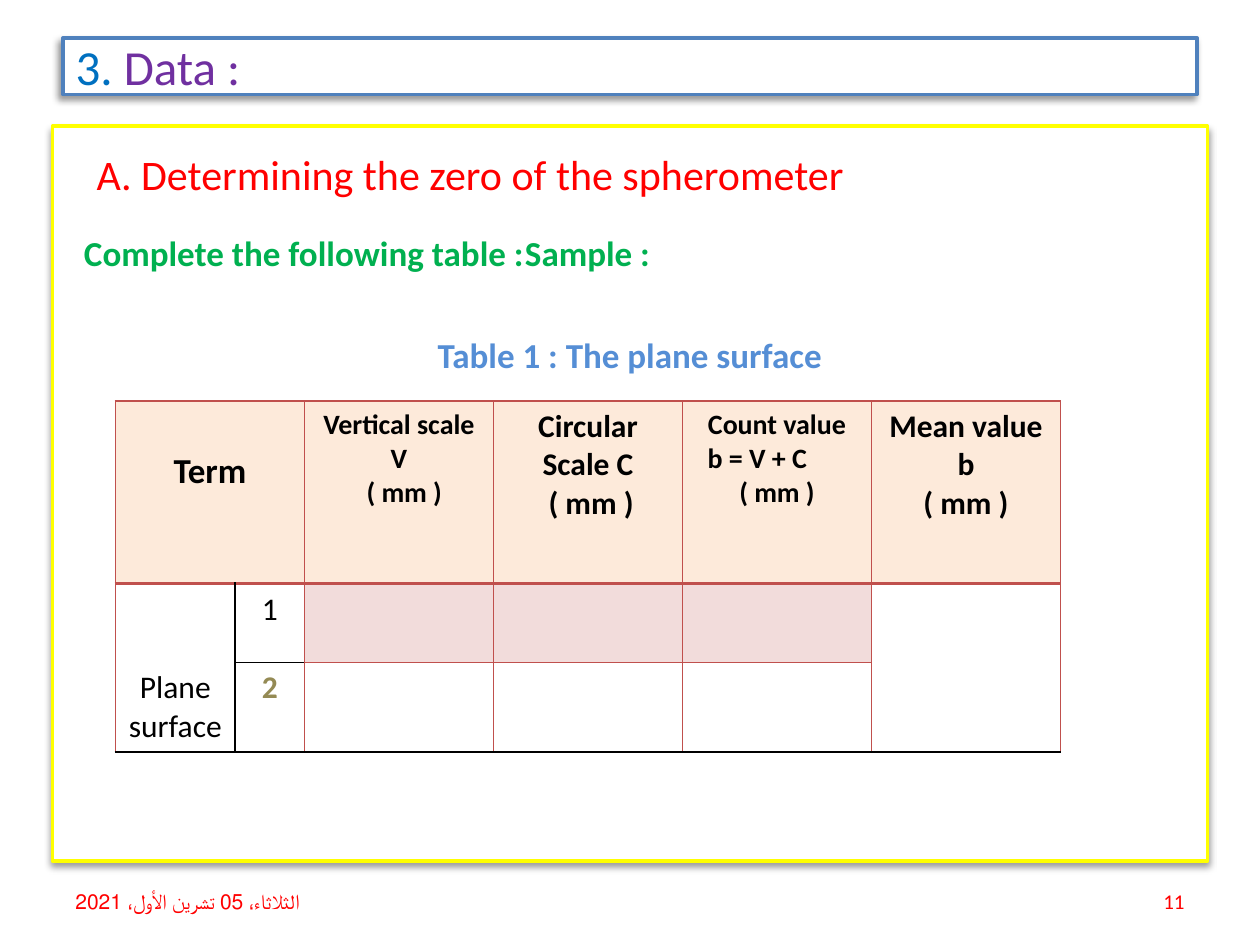
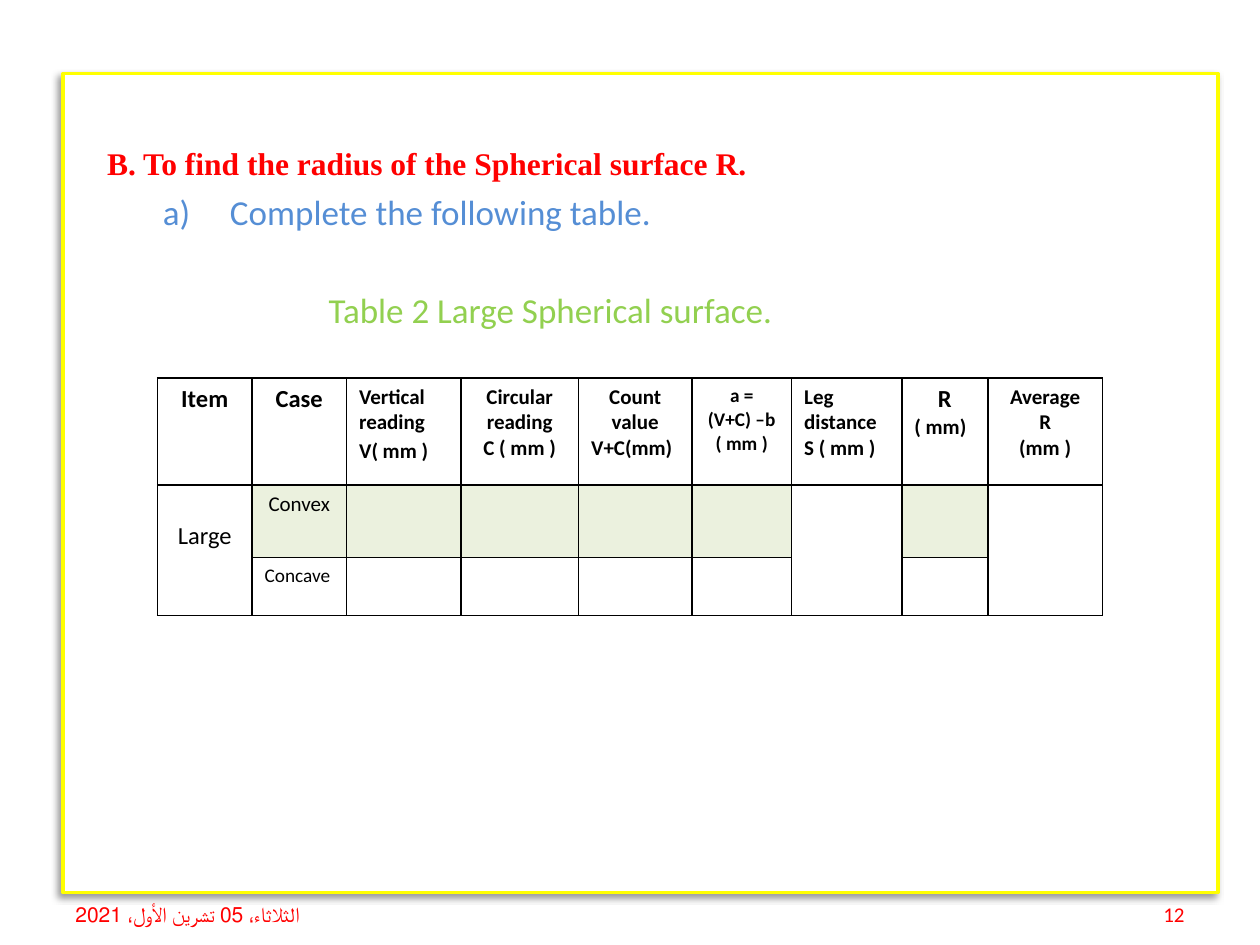
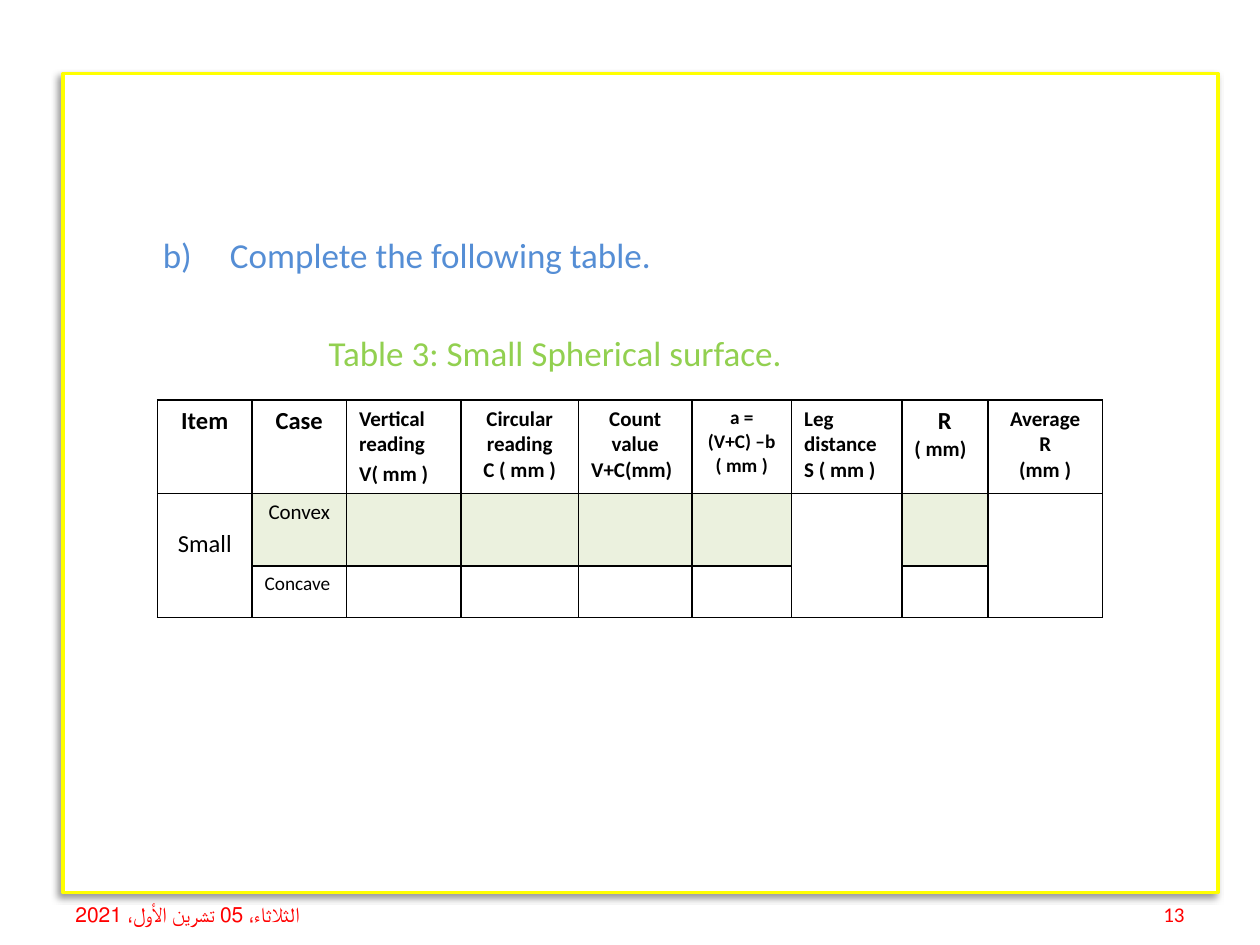
from lxml.etree import SubElement
from pptx import Presentation
from pptx.dml.color import RGBColor
from pptx.enum.text import MSO_ANCHOR, MSO_AUTO_SIZE, PP_ALIGN
from pptx.oxml import parse_xml
from pptx.oxml.ns import nsdecls, qn
from pptx.util import Inches, Pt

COLS, ROWS = 120, 90
WIDE, HIGH = Inches(10), Inches(7.5)
BLACK, WHITE, RED, BLUE = "000000", "FFFFFF", "FF0000", "558ED5"
BRICK, PEACH, ROSE = "C0504D", "FDEADA", "F2DCDB"
LEAF, LIME, GOLD = "EBF1DE", "92D050", "FFFF00"
LEFT, MID, RIGHT = PP_ALIGN.LEFT, PP_ALIGN.CENTER, PP_ALIGN.RIGHT
DATE = "الثلاثاء، 05 تشرين الأول، 2021"
PLAIN = "{2D5ABB26-0587-4C30-8999-92F81FD0307C}"


def tint(code):
    return RGBColor.from_string(code)


def line(text, size, **form):
    return {"text": text, "size": size, **form}


def mid(text, size, **form):
    return line(text, size, align=MID, **form)


class Deck:
    def __init__(self):
        self.prs = Presentation()
        self.prs.slide_width, self.prs.slide_height = WIDE, HIGH
        self.slide = None

    def col(self, count):
        return round(WIDE * count / COLS)

    def row(self, count):
        return round(HIGH * count / ROWS)

    def box(self, spot):
        x, y, w, h = spot
        return self.col(x), self.row(y), self.col(w), self.row(h)

    def page(self):
        self.slide = self.prs.slides.add_slide(self.prs.slide_layouts[1])

    def ink(self, run, size, hue=BLACK, bold=False, face="Calibri"):
        form = {"size": Pt(size), "bold": bold, "name": face}
        for key, value in form.items():
            setattr(run.font, key, value)
        run.font.color.rgb = tint(hue)

    def para(self, par, text, size, align=LEFT, gap=0, left=0, hang=0, tab=0, **font):
        par.text = text
        for key, value in {"alignment": align, "space_before": Pt(gap)}.items():
            setattr(par, key, value)
        props = par._p.get_or_add_pPr()
        props.set("marL", str(self.col(left)))
        props.set("indent", str(-self.col(hang)))
        SubElement(props, qn("a:buNone"))
        if tab:
            stops = SubElement(props, qn("a:tabLst"))
            SubElement(stops, qn("a:tab"), pos=str(self.col(tab)), algn="l")
        for run in par.runs:
            self.ink(run, size, **font)

    def fill(self, frame, lines):
        for at, form in enumerate(lines):
            par = frame.add_paragraph() if at else frame.paragraphs[0]
            self.para(par, **form)

    def panel(self, shape, spot, edge, angle):
        for key, value in zip(("left", "top", "width", "height"), self.box(spot)):
            setattr(shape, key, value)
        shape.fill.solid()
        shape.fill.fore_color.rgb = tint(WHITE)
        shape.line.color.rgb = tint(edge)
        shape.line.width = Pt(2)
        shape.shadow.inherit = False
        shape._element.spPr.find(qn("a:effectLst")).append(parse_xml(
            f'<a:outerShdw {nsdecls("a")} blurRad="{Pt(4)}" dist="{Pt(3)}" '
            f'dir="{angle * 60000}" algn="tl" rotWithShape="0"><a:srgbClr val="{BLACK}">'
            '<a:alpha val="40000"/></a:srgbClr></a:outerShdw>'))
        shape.text_frame.auto_size = MSO_AUTO_SIZE.NONE
        return shape.text_frame

    def title(self, first, rest):
        frame = self.panel(self.slide.shapes.title, (6, 3.6, 108, 5.4), "4F81BD", 135)
        frame.vertical_anchor = MSO_ANCHOR.MIDDLE
        par = frame.paragraphs[0]
        self.para(par, first, 28, hue="0070C0")
        run = par.add_run()
        run.text = rest
        self.ink(run, 28, "7030A0")

    def bare(self):
        mark = self.slide.shapes.title.element
        mark.getparent().remove(mark)

    def body(self, spot, angle, head, lines):
        frame = self.panel(self.slide.placeholders[1], spot, GOLD, angle)
        form = {"margin_left": self.col(3), "margin_right": self.col(3),
                "margin_top": self.row(head), "vertical_anchor": MSO_ANCHOR.TOP}
        for key, value in form.items():
            setattr(frame, key, value)
        self.fill(frame, lines)

    def note(self, spot, text, align):
        frame = self.slide.shapes.add_textbox(*self.box(spot)).text_frame
        frame.word_wrap = True
        frame.vertical_anchor = MSO_ANCHOR.MIDDLE
        self.fill(frame, [line(text, 12, align=align, hue=RED)])

    def foot(self, number, top=86, high=2.2, wide=26):
        self.note((6, top, wide, high), DATE, LEFT)
        self.note((86, top, 28, high), str(number), RIGHT)

    def rule(self, cell, sides):
        props = cell._tc.get_or_add_tcPr()
        for at, side in enumerate("LRTB"):
            hue, width = sides[side]
            paint = f'<a:solidFill><a:srgbClr val="{hue}"/></a:solidFill>' if width else "<a:noFill/>"
            props.insert(at, parse_xml(
                f'<a:ln{side} {nsdecls("a")} w="{Pt(width)}">{paint}</a:ln{side}>'))

    def table(self, spot, cols, rows, cells, fills, edge, drop, open_cols, marks):
        x, y = spot
        area = self.box((x, y, sum(cols), sum(rows)))
        grid = self.slide.shapes.add_table(len(rows), len(cols), *area).table
        grid.first_row = grid.horz_banding = False
        grid._tbl.tblPr.find(qn("a:tableStyleId")).text = PLAIN
        for at, wide in enumerate(cols):
            grid.columns[at].width = self.col(wide)
        for r, high in enumerate(rows):
            grid.rows[r].height = self.row(high)
            for c in range(len(cols)):
                cell = grid.cell(r, c)
                cell.fill.solid()
                cell.fill.fore_color.rgb = tint(fills.get((r, c), WHITE))
                sides = dict.fromkeys("LRTB", (edge, 1))
                if c in open_cols and r:
                    sides["B" if r == 1 else "T"] = (edge, 0)
                for side in sides:
                    sides[side] = marks.get((r, c, side), sides[side])
                self.rule(cell, sides)
                if (r, c) in drop:
                    cell.margin_top = self.row(drop[r, c])
                if (r, c) in cells:
                    lines = [{"bold": r == 0, **form} for form in cells[r, c]]
                    self.fill(cell.text_frame, lines)
        return grid


def plane(deck):
    deck.page()
    deck.title("3. ", "Data :")
    deck.body((5, 12, 110, 70), 90, 2.1, [
        line("A. Determining the zero of the spherometer", 24, left=1.2, hue=RED),
        line("Complete the following table :\tSample :", 20, gap=19, tab=79.6,
             hue="00B050", bold=True),
        mid("Table 1 : The plane surface", 20, gap=34, hue=BLUE, bold=True)])
    cells = {
        (0, 0): [mid("Term", 20)],
        (0, 2): [mid("Vertical scale\vV", 16), mid("( mm )", 16, left=1)],
        (0, 3): [mid("Circular", 18), mid("Scale C", 18), mid("( mm )", 18, left=0.6)],
        (0, 4): [mid("Count value", 16), line("b = V + C", 16, left=1.2), mid("( mm )", 16)],
        (0, 5): [mid("Mean value\vb", 18), mid("( mm )", 18)],
        (1, 1): [mid("1", 18)],
        (2, 0): [mid("Plane", 18), mid("surface", 18)],
        (2, 1): [mid("2", 18, hue="948A54", bold=True)]}
    fills = {(0, c): PEACH for c in range(6)} | {(1, c): ROSE for c in (2, 3, 4)}
    black = (BLACK, 1)
    marks = {(r, c, side): (BRICK, 2) for r, side in ((0, "B"), (1, "T")) for c in range(6)}
    marks |= {(2, c, "B"): black for c in range(6)}
    marks |= {(r, c, side): black for r in (1, 2) for c, side in ((0, "R"), (1, "L"))}
    marks |= {(1, 1, "B"): black, (2, 1, "T"): black}
    grid = deck.table((11, 38.2), (11.4, 6.6, 18, 18, 18, 18), (17.4, 7.5, 8.5), cells,
                      fills, BRICK, {(0, 0): 4.7}, (0, 5), marks)
    grid.cell(0, 0).merge(grid.cell(0, 1))
    deck.foot(11, 83.4, 4.8, 28)


HEADS = (
    [mid("Item", 14)],
    [mid("Case", 14)],
    [line("Vertical reading", 12), line("V( mm )", 12, gap=2)],
    [mid("Circular reading", 12), mid("C ( mm )", 12)],
    [mid("Count value", 12), line("V+C(mm)", 12)],
    [mid("a =", 11), mid("(V+C) –b", 11), mid("( mm )", 11)],
    [line("Leg distance", 12), line("S ( mm )", 12)],
    [mid("R", 14), line("( mm)", 12)],
    [mid("Average", 12), mid("R", 12), mid("(mm )", 12)])


def sphere(deck, number, head, lines, item, top, rows):
    deck.page()
    deck.bare()
    deck.body((6, 7, 110, 78), 135, head, lines)
    cells = {(0, c): text for c, text in enumerate(HEADS)}
    cells |= {(1, 0): [mid(item, 14)], (1, 1): [mid("Convex", 12)],
              (2, 1): [line("Concave", 11)]}
    fills = {(1, c): LEAF for c in (1, 2, 3, 4, 5, 7)}
    deck.table((15, top), (9, 9, 10.9, 11.2, 10.8, 9.5, 10.5, 8.2, 10.9), rows, cells,
               fills, BLACK, {(1, 0): 3.4}, (0, 6, 8), {})
    deck.foot(number)


def task(mark, name, gap):
    return [
        line(f"{mark}\tComplete the following table.", 20, gap=gap, left=12.9, hang=6.4, hue=BLUE),
        line(name, 20, gap=32, left=22.3, hue=LIME)]


def main():
    deck = Deck()
    plane(deck)
    aim = line("B. To find the radius of the Spherical surface R.", 18, left=1.2,
               hue=RED, bold=True, face="Times New Roman")
    sphere(deck, 12, 6.7, [aim, *task("a)", "Table 2 Large Spherical surface.", 5)],
           "Large", 36, (10.2, 6.9, 5.5))
    sphere(deck, 13, 15.2, task("b)", "Table 3: Small Spherical surface.", 0),
           "Small", 38.1, (8.9, 6.9, 4.9))
    deck.prs.save("out.pptx")


if __name__ == "__main__":
    main()
